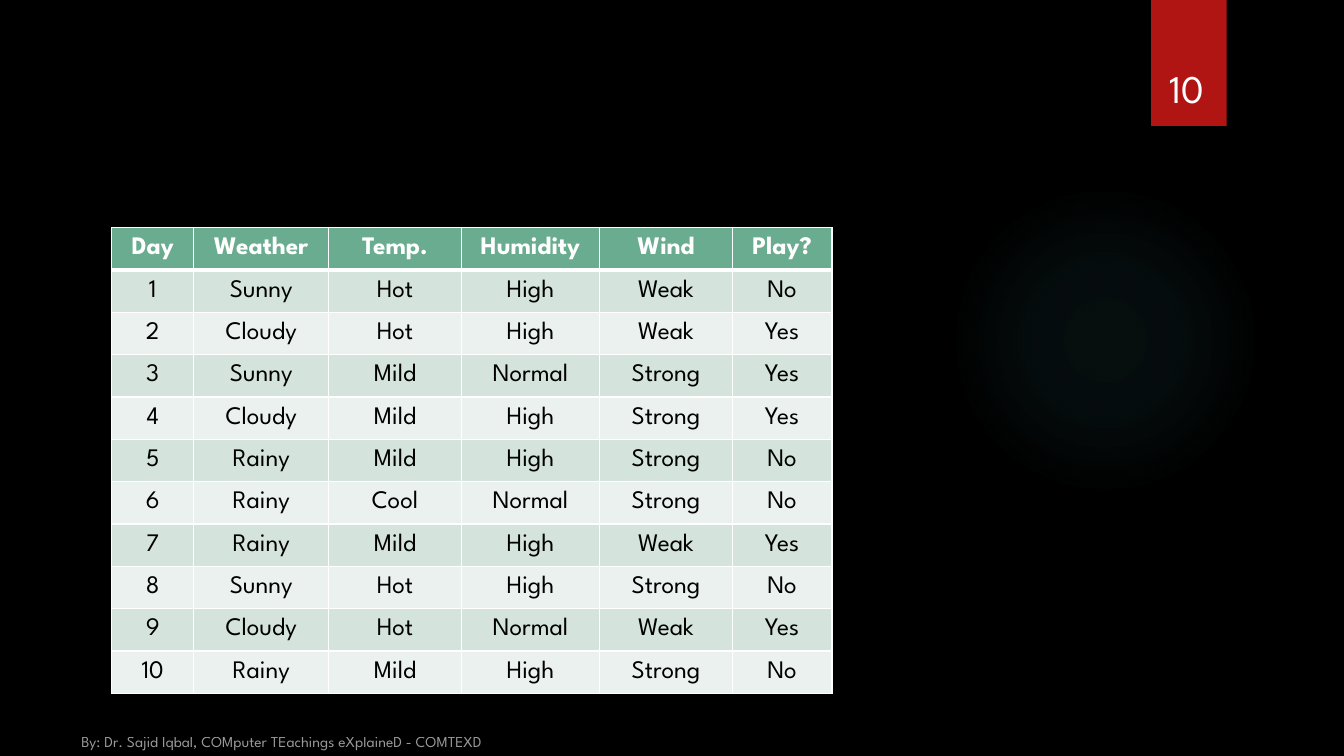
import lxml.etree
import pptx
import pptx.dml.color
import pptx.enum.shapes
import pptx.enum.text
import pptx.oxml
import pptx.oxml.ns
import pptx.util

SHAPE = pptx.enum.shapes.MSO_SHAPE
ALIGN = pptx.enum.text.PP_ALIGN
ANCHOR = pptx.enum.text.MSO_ANCHOR
NAMESPACE = pptx.oxml.ns.nsdecls("a")

deck = pptx.Presentation()
deck.slide_width = pptx.util.Inches(13.33)
deck.slide_height = pptx.util.Inches(7.5)
UNIT = deck.slide_height / 90  # the slide is a grid of 160 columns by 90 rows


def color(value):
    return pptx.dml.color.RGBColor.from_string(value)


def write(frame, text, size=18, ink="000000", bold=False, align=ALIGN.CENTER):
    """Put one formatted line into a text frame and return its span."""
    para = frame.paragraphs[0]
    para.alignment = align
    span = para.add_run()
    span.text = text
    span.font.name = "League Spartan"
    span.font.size = pptx.util.Pt(size)
    span.font.bold = bold
    span.font.color.rgb = color(ink)
    return span


page = deck.slides.add_slide(deck.slide_layouts[6])
page.background.fill.solid()
page.background.fill.fore_color.rgb = color("000000")

# Faint glow on the right
glow = page.shapes.add_shape(
    SHAPE.OVAL, *[int(n * UNIT) for n in (113, 22, 37, 37)])
glow.shadow.inherit = False
glow.line.fill.background()
stops = "".join(
    f'<a:gs pos="{place}000"><a:srgbClr val="50B9C1">'
    f'<a:alpha val="{alpha}000"/></a:srgbClr></a:gs>'
    for place, alpha in ((0, 7), (36, 6), (69, 0)))
gradient = pptx.oxml.parse_xml(
    f'<a:gradFill {NAMESPACE}><a:gsLst>{stops}</a:gsLst><a:path path="circle">'
    '<a:fillToRect l="50000" t="50000" r="50000" b="50000"/></a:path></a:gradFill>')
glow.element.spPr.find(pptx.oxml.ns.qn("a:prstGeom")).addnext(gradient)

# Ribbon with the page number
ribbon = page.shapes.add_shape(
    SHAPE.RECTANGLE, *[int(n * UNIT) for n in (137, 0, 9, 15)])
ribbon.shadow.inherit = False
ribbon.fill.solid()
ribbon.fill.fore_color.rgb = color("B01513")
ribbon.line.fill.background()
ribbon.element.spPr.find(pptx.oxml.ns.qn("a:effectLst")).append(pptx.oxml.parse_xml(
    f'<a:outerShdw {NAMESPACE} blurRad="38100" dist="25400" dir="5400000">'
    '<a:srgbClr val="000000"><a:alpha val="45000"/></a:srgbClr></a:outerShdw>'))

spans = []
for area, text, size, align in (
    ((8.5, 86, 50.6, 4), "By: Dr. Sajid Iqbal, COMputer TEachings eXplaineD - COMTEXD",
     11, ALIGN.LEFT),
    ((135.8, 3.8, 11, 10.1), "10", 28, ALIGN.CENTER),
):
    box = page.shapes.add_textbox(*[int(n * UNIT) for n in area])
    box.text_frame.word_wrap = True
    box.text_frame.vertical_anchor = ANCHOR.BOTTOM
    spans.append(write(box.text_frame, text, size=size, ink="FFFFFF", align=align))
footer_ink = next(spans[0].font._element.iter(pptx.oxml.ns.qn("a:srgbClr")))
lxml.etree.SubElement(footer_ink, pptx.oxml.ns.qn("a:alpha"), val="60000")

# Weather table
records = [line.split() for line in """\
Day Weather Temp. Humidity Wind Play?
1 Sunny Hot High Weak No
2 Cloudy Hot High Weak Yes
3 Sunny Mild Normal Strong Yes
4 Cloudy Mild High Strong Yes
5 Rainy Mild High Strong No
6 Rainy Cool Normal Strong No
7 Rainy Mild High Weak Yes
8 Sunny Hot High Strong No
9 Cloudy Hot Normal Weak Yes
10 Rainy Mild High Strong No""".splitlines()]
column_widths = (9.75, 16.1, 15.75, 16.5, 15.75, 11.9)
row_height = 4.87
table = page.shapes.add_table(
    len(records), len(column_widths),
    *[int(n * UNIT) for n in (13.3, 27.1, sum(column_widths),
                              row_height * len(records))]).table
table.horz_banding = False
for column, width in zip(table.columns, column_widths):
    column.width = int(width * UNIT)

for r, record in enumerate(records):
    table.rows[r].height = int(row_height * UNIT)
    header = r == 0
    fill = "6AAC90" if header else ("EBF1EE", "D4E3DB")[r % 2]
    borders = {"L": 1, "R": 1, "T": 3 if r == 1 else 1, "B": 3 if header else 1}
    for c, text in enumerate(record):
        cell = table.cell(r, c)
        cell.margin_left = cell.margin_right = pptx.util.Inches(0.14)
        cell.margin_top = cell.margin_bottom = pptx.util.Inches(0.06)
        cell.vertical_anchor = ANCHOR.MIDDLE
        for side, weight in borders.items():
            cell._tc.get_or_add_tcPr().append(pptx.oxml.parse_xml(
                f'<a:ln{side} {NAMESPACE} w="{weight * 12700}"><a:solidFill>'
                f'<a:srgbClr val="FFFFFF"/></a:solidFill></a:ln{side}>'))
        cell.fill.solid()
        cell.fill.fore_color.rgb = color(fill)
        write(cell.text_frame, text, ink="FFFFFF" if header else "000000", bold=header)

deck.save("out.pptx")
